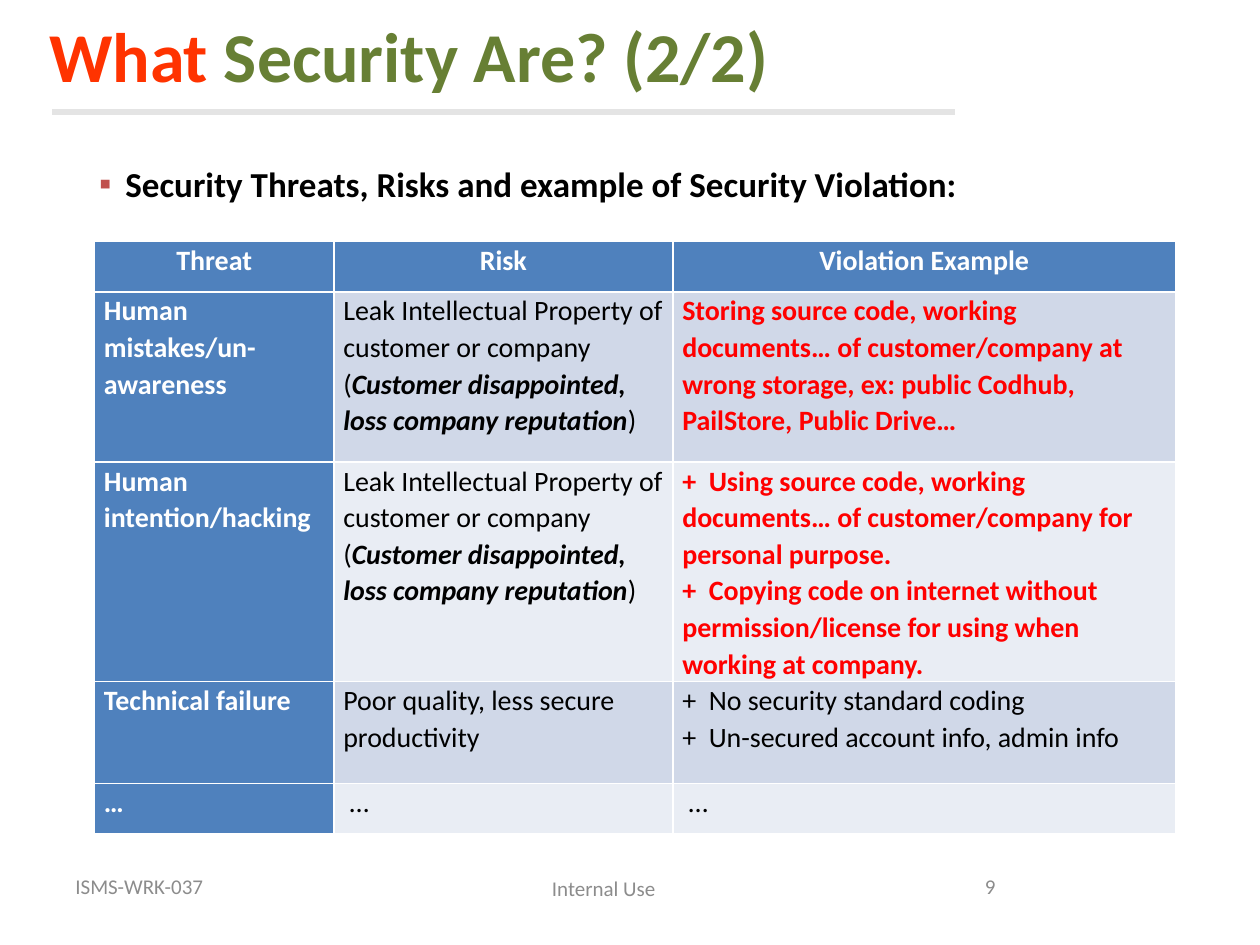
from lxml import etree
from pptx import Presentation
from pptx.dml.color import RGBColor
from pptx.enum import shapes, text
from pptx.oxml import ns
from pptx.util import Pt

HUES = {
    "red": "FF3300", "green": "677F34", "rule": "E4E4E4", "mark": "C0504D",
    "gray": "8C8C8C", "black": "000000", "white": "FFFFFF", "alert": "FF0000",
    "blue": "4F81BD", "dark": "D0D8E8", "light": "E9EDF4",
}
FACE = "Calibri"
LEFT, MID, RIGHT = text.PP_ALIGN.LEFT, text.PP_ALIGN.CENTER, text.PP_ALIGN.RIGHT

LEAK = ["Leak Intellectual Property of customer or company",
        [("(", False), ("Customer disappointed, loss company reputation", True),
         (")", False)]]
HEAD = ["Threat", "Risk", "Violation Example"]
# Threat, risk lines, example lines, whether the example is an alert
ROWS = [
    ("Human mistakes/un-awareness", LEAK,
     ["Storing source code, working documents… of customer/company at wrong "
      "storage, ex: public Codhub, PailStore, Public Drive…"], True),
    ("Human intention/hacking", LEAK,
     ["+  Using source code, working documents… of customer/company for "
      "personal purpose.",
      "+  Copying code on internet without permission/license for using when "
      "working at company."], True),
    ("Technical failure", ["Poor quality, less secure productivity"],
     ["+  No security standard coding",
      "+  Un-secured account info, admin info"], False),
    ("…", [" …"], [" …"], False),
]
WIDTHS = [136.8, 193.7, 287.3]
HEIGHTS = [28.8, 97.2, 122.4, 58.3, 28.8]


def hue(name):
    return RGBColor.from_string(HUES[name])


def style(font, size, color, bold=False):
    font.name, font.size, font.bold = FACE, Pt(size), bold
    font.color.rgb = hue(color)


def place(shape, left, top, width, height):
    shape.left, shape.top = Pt(left), Pt(top)
    shape.width, shape.height = Pt(width), Pt(height)


def add_title(slide):
    title = slide.shapes.title
    place(title, 20.9, 3.6, 624.2, 55.4)
    frame = title.text_frame
    frame.auto_size = text.MSO_AUTO_SIZE.NONE
    frame.vertical_anchor = text.MSO_ANCHOR.TOP
    para = frame.paragraphs[0]
    para.alignment = LEFT
    for words, color in [("What ", "red"), ("Security Are? (2/2)", "green")]:
        run = para.add_run()
        run.text = words
        style(run.font, 40, color, True)


def add_rule(slide):
    rule = slide.shapes.add_connector(
        shapes.MSO_CONNECTOR.STRAIGHT, Pt(30), Pt(64), Pt(546), Pt(64))
    rule.line.color.rgb = hue("rule")
    rule.line.width = Pt(3.75)
    etree.SubElement(rule._element.spPr, ns.qn("a:effectLst"))


def add_bullet(para, mark, color, indent):
    props = para._p.get_or_add_pPr()
    props.set("marL", str(Pt(indent)))
    props.set("indent", str(-Pt(indent)))
    tint = etree.SubElement(props, ns.qn("a:buClr"))
    etree.SubElement(tint, ns.qn("a:srgbClr"), val=HUES[color])
    etree.SubElement(props, ns.qn("a:buFont"), typeface="Arial")
    etree.SubElement(props, ns.qn("a:buChar"), char=mark)


def add_body(slide):
    body = slide.placeholders[1]
    place(body, 48, 84, 624, 404)
    body.fill.solid()
    body.fill.fore_color.rgb = hue("white")
    frame = body.text_frame
    frame.auto_size = text.MSO_AUTO_SIZE.NONE
    frame.margin_left = frame.margin_top = Pt(8.64)
    frame.margin_right = frame.margin_bottom = Pt(5.76)
    para = frame.paragraphs[0]
    para.text = "Security Threats, Risks and example of Security Violation:"
    para.space_before = Pt(0)
    add_bullet(para, "▪", "mark", 15)
    style(para.font, 20, "black", True)


def add_note(slide, words, left, top, width, align):
    box = slide.shapes.add_textbox(Pt(left), Pt(top), Pt(width), Pt(28.8))
    frame = box.text_frame
    frame.word_wrap = True
    frame.vertical_anchor = text.MSO_ANCHOR.MIDDLE
    para = frame.paragraphs[0]
    para.text, para.alignment = words, align
    style(para.font, 12, "gray")


def fill_cell(cell, lines, fill, color, bold=False, align=LEFT):
    cell.fill.solid()
    cell.fill.fore_color.rgb = hue(fill)
    cell.margin_left = cell.margin_right = Pt(5.4)
    cell.margin_top = cell.margin_bottom = 0
    frame = cell.text_frame
    for i, line in enumerate(lines):
        para = frame.add_paragraph() if i else frame.paragraphs[0]
        para.alignment, para.line_spacing = align, 1.07
        if isinstance(line, str):
            para.text = line
            style(para.font, 16, color, bold)
            continue
        for words, strong in line:
            run = para.add_run()
            run.text = words
            style(run.font, 16, color, strong)
            run.font.italic = strong


def add_grid(slide):
    grid = slide.shapes.add_table(
        len(HEIGHTS), len(WIDTHS), Pt(54), Pt(138),
        Pt(sum(WIDTHS)), Pt(sum(HEIGHTS))).table
    grid.first_col = True
    for col, width in zip(grid.columns, WIDTHS):
        col.width = Pt(width)
    for row, height in zip(grid.rows, HEIGHTS):
        row.height = Pt(height)
    for c, words in enumerate(HEAD):
        fill_cell(grid.cell(0, c), [words], "blue", "white", True, MID)
    for r, (threat, risk, case, alert) in enumerate(ROWS, 1):
        band = "dark" if r % 2 else "light"
        fill_cell(grid.cell(r, 0), [threat], "blue", "white", True)
        fill_cell(grid.cell(r, 1), risk, band, "black")
        fill_cell(grid.cell(r, 2), case, band,
                  "alert" if alert else "black", alert)


def main():
    deck = Presentation()
    deck.slide_width, deck.slide_height = Pt(720), Pt(540)
    slide = deck.slides.add_slide(deck.slide_layouts[1])
    # Heading and lead line
    add_title(slide)
    add_body(slide)
    add_rule(slide)
    # Threat table
    add_grid(slide)
    # Footer
    add_note(slide, "ISMS-WRK-037", 36, 492, 168, LEFT)
    add_note(slide, "Internal Use", 216, 493.2, 258, MID)
    add_note(slide, "9", 486, 492, 90, RIGHT)
    deck.save("out.pptx")


if __name__ == "__main__":
    main()
